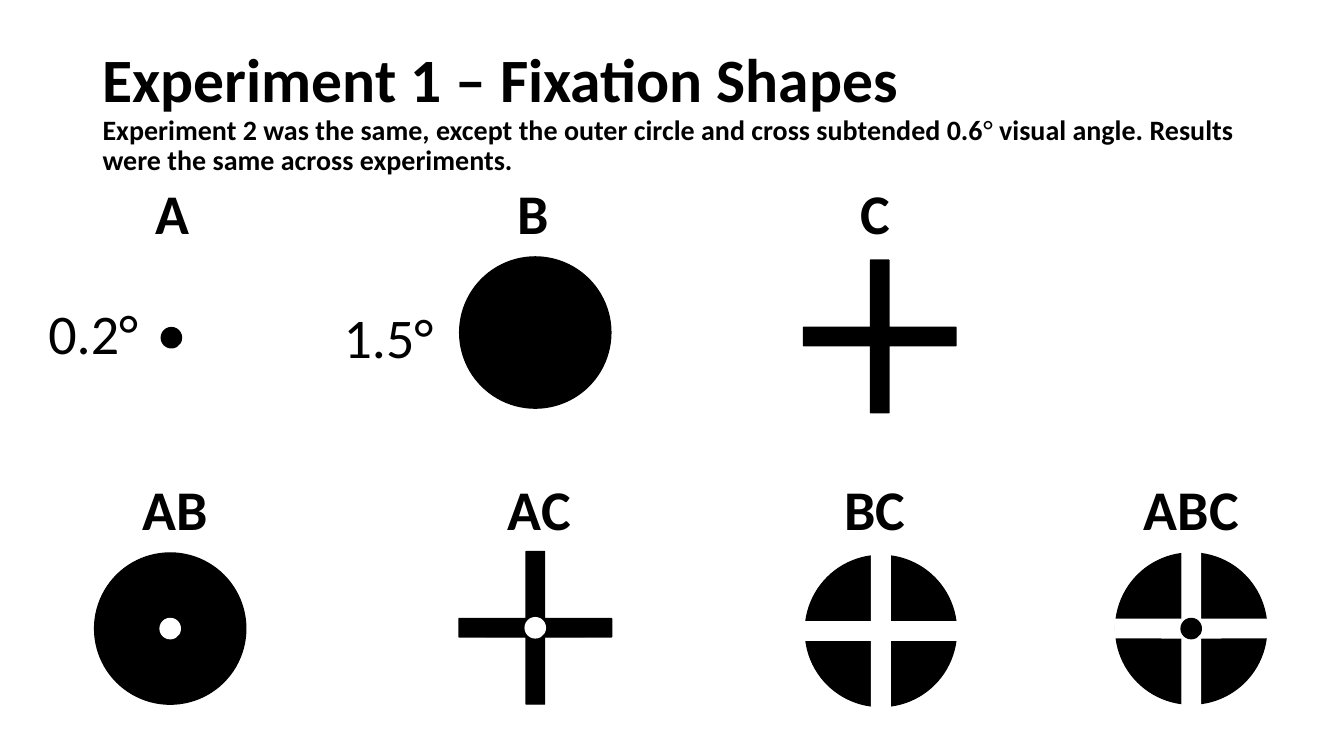
from pptx import Presentation
from pptx import util as u
from pptx.dml.color import RGBColor
from pptx.enum import shapes, text

COLORS = {"black": "000000", "white": "FFFFFF"}
FONT = "Calibri"
TITLE = "Experiment 1 – Fixation Shapes"
SUBTITLE = [
    ("Experiment 2 was the same, except the outer circle and cross subtended 0.6", True),
    ("° ", False),
    ("visual angle. Results were the same across experiments.", True),
]
PARTS = {
    "disc": (shapes.MSO_SHAPE.OVAL, 3.81),
    "cross": (shapes.MSO_SHAPE.MATH_MULTIPLY, 5.23),
    "dot": (shapes.MSO_SHAPE.OVAL, 0.51),
}
ROW_TOPS = [4.37, 11.84]
FIXATIONS = [
    ("A", 0, 3.66, (4.32, 8.51), [("dot", "black")]),
    ("B", 0, 12.78, (13.49, 8.38), [("disc", "black")]),
    ("C", 0, 21.44, (22.17, 8.48), [("cross", "black")]),
    ("AB", 1, 3.35, (4.29, 15.84), [("disc", "black"), ("dot", "white")]),
    ("AC", 1, 12.55, (13.49, 15.82), [("cross", "black"), ("dot", "white")]),
    ("BC", 1, 21.03, (22.2, 15.9), [("disc", "black"), ("cross", "white")]),
    ("ABC", 1, 28.58, (30.02, 15.84),
     [("disc", "black"), ("cross", "white"), ("dot", "black")]),
]
ANGLES = [("0.2°", 0.97, 7.39), ("1.5°", 8.41, 7.49)]


def add_run(p, content, size, bold):
    r = p.add_run()
    r.text = content
    r.font.name = FONT
    r.font.size = u.Pt(size)
    r.font.bold = bold
    r.font.color.rgb = RGBColor.from_string(COLORS["black"])


def add_label(s, content, left, top, bold):
    tf = s.shapes.add_textbox(u.Cm(left), u.Cm(top), u.Cm(4.67), u.Cm(1.96)).text_frame
    tf.word_wrap = True
    add_run(tf.paragraphs[0], content, 40, bold)


def add_part(s, part, color, center):
    kind, size = PARTS[part]
    left, top = (u.Cm(c - size / 2) for c in center)
    sp = s.shapes.add_shape(kind, left, top, u.Cm(size), u.Cm(size))
    if part == "cross":
        sp.adjustments[0] = 0.089
        sp.rotation = 45
    sp.shadow.inherit = False
    rgb = RGBColor.from_string(COLORS[color])
    sp.fill.solid()
    sp.fill.fore_color.rgb = rgb
    sp.line.color.rgb = rgb
    sp.line.width = u.Pt(1)


def main():
    prs = Presentation()
    prs.slide_width, prs.slide_height = u.Cm(33.87), u.Cm(19.05)
    s = prs.slides.add_slide(prs.slide_layouts[5])

    title = s.shapes.title
    title.left, title.top = u.Cm(2.33), u.Cm(1.01)
    title.width, title.height = u.Cm(29.21), u.Cm(3.68)
    tf = title.text_frame
    tf.word_wrap = True
    tf.auto_size = text.MSO_AUTO_SIZE.NONE
    tf.vertical_anchor = text.MSO_ANCHOR.MIDDLE
    p = tf.paragraphs[0]
    p.alignment = text.PP_ALIGN.LEFT
    p.line_spacing = 0.9
    add_run(p, TITLE, 44, True)
    p.add_line_break()
    for content, bold in SUBTITLE:
        add_run(p, content, 20, bold)

    for name, row, left, center, parts in FIXATIONS:
        for part, color in parts:
            add_part(s, part, color, center)
        add_label(s, name, left, ROW_TOPS[row], True)
    for angle, left, top in ANGLES:
        add_label(s, angle, left, top, False)

    prs.save("out.pptx")


if __name__ == "__main__":
    main()
